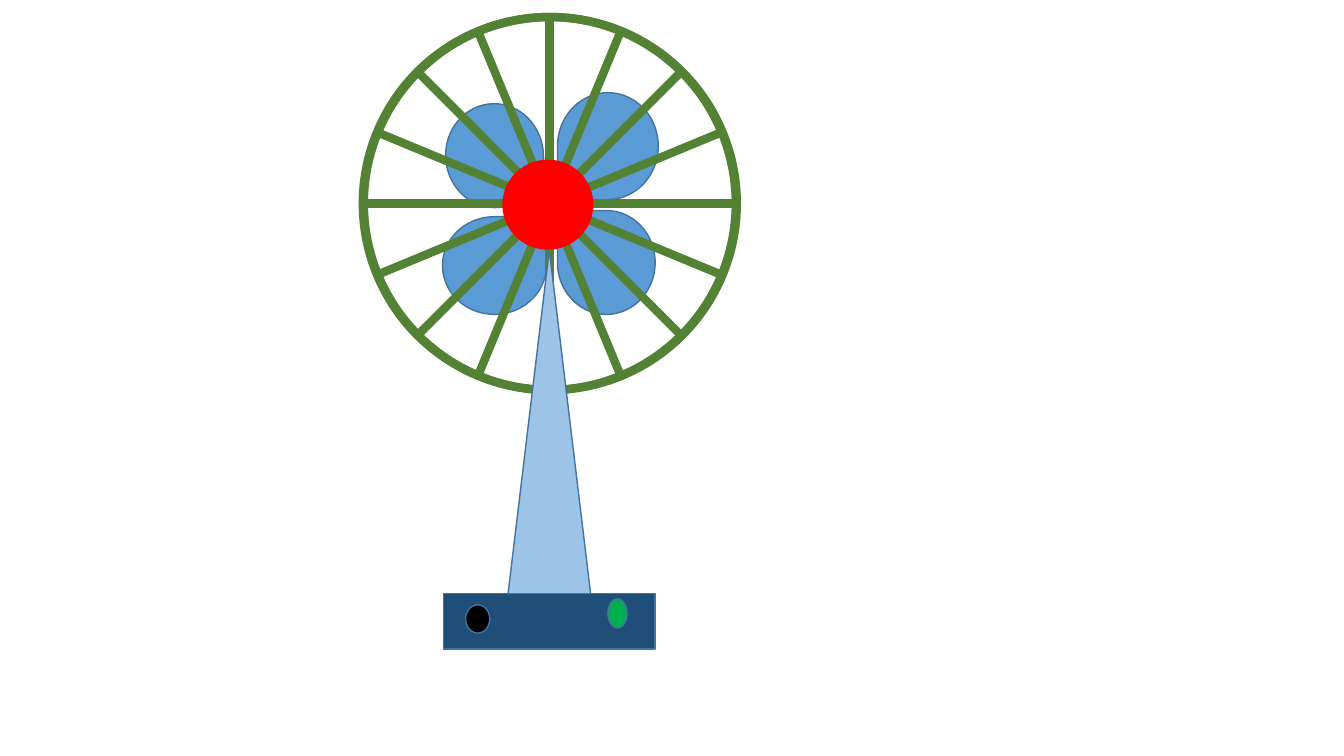
from math import cos, radians, sin

from lxml import etree
from pptx import Presentation
from pptx.dml.color import RGBColor
from pptx.enum.shapes import MSO_CONNECTOR, MSO_SHAPE
from pptx.oxml.ns import qn
from pptx.util import Pt

DROP = MSO_SHAPE.TEAR
OVAL = MSO_SHAPE.OVAL
CONE = MSO_SHAPE.ISOSCELES_TRIANGLE
RECT = MSO_SHAPE.RECTANGLE
LINE = MSO_CONNECTOR.STRAIGHT

COLORS = {
    "blade": "5B9BD5",
    "edge": "43739E",
    "cage": "548235",
    "hub": "FF0000",
    "stand": "9DC3E6",
    "base": "1F4E79",
    "green": "00B050",
    "black": "000000",
}

BLADES = [
    ((316.1, 154.8, 74.2, 69.8), 0),
    ((316.1, 76.3, 74.2, 69.8), 86.5),
    ((398.2, 66.2, 72, 76.3), 180),
    ((396, 152.6, 74.2, 69.8), 270),
]
CENTER = (392.4, 145.4)
RADIUS = 133.2
RINGS = [(0, 0), (0.7, 22)]
SPOKES = 8
CAGE_WIDTH = 6

PARTS = [
    (OVAL, (359.3, 114.5, 64.1, 63.4), "hub", "hub"),
    (CONE, (362.9, 178.6, 59, 245.5), "stand", "edge"),
    (RECT, (316.8, 424.1, 151.2, 39.6), "base", "edge"),
    (OVAL, (434.2, 427.7, 13.7, 20.9), "green", "edge"),
    (OVAL, (332.6, 432, 17.3, 20.2), "black", "edge"),
]


def stroke(line, color, width):
    line.color.rgb = RGBColor.from_string(COLORS[color])
    line.width = Pt(width)


def add_part(slide, kind, box, fill=None, edge="edge", width=1, turn=0):
    part = slide.shapes.add_shape(kind, *[Pt(v) for v in box])
    part.shadow.inherit = False
    part.rotation = turn
    if fill:
        part.fill.solid()
        part.fill.fore_color.rgb = RGBColor.from_string(COLORS[fill])
    else:
        part.fill.background()
    stroke(part.line, edge, width)


def add_spoke(slide, angle):
    x, y = CENTER
    dx, dy = RADIUS * cos(angle), RADIUS * sin(angle)
    ends = (x - dx, y - dy, x + dx, y + dy)
    spoke = slide.shapes.add_connector(LINE, *[Pt(v) for v in ends])
    stroke(spoke.line, "cage", CAGE_WIDTH)
    etree.SubElement(spoke._element.spPr, qn("a:effectLst"))


def main():
    deck = Presentation()
    deck.slide_width, deck.slide_height = Pt(960), Pt(540)
    slide = deck.slides.add_slide(deck.slide_layouts[6])

    for box, turn in BLADES:
        add_part(slide, DROP, box, "blade", turn=turn)

    x, y = CENTER
    for shift, turn in RINGS:
        box = (x - RADIUS + shift, y - RADIUS, 2 * RADIUS, 2 * RADIUS)
        add_part(slide, OVAL, box, edge="cage", width=CAGE_WIDTH, turn=turn)
    for step in range(SPOKES):
        add_spoke(slide, radians(180 * step / SPOKES))

    for kind, box, fill, edge in PARTS:
        add_part(slide, kind, box, fill, edge)

    deck.save("out.pptx")


if __name__ == "__main__":
    main()
